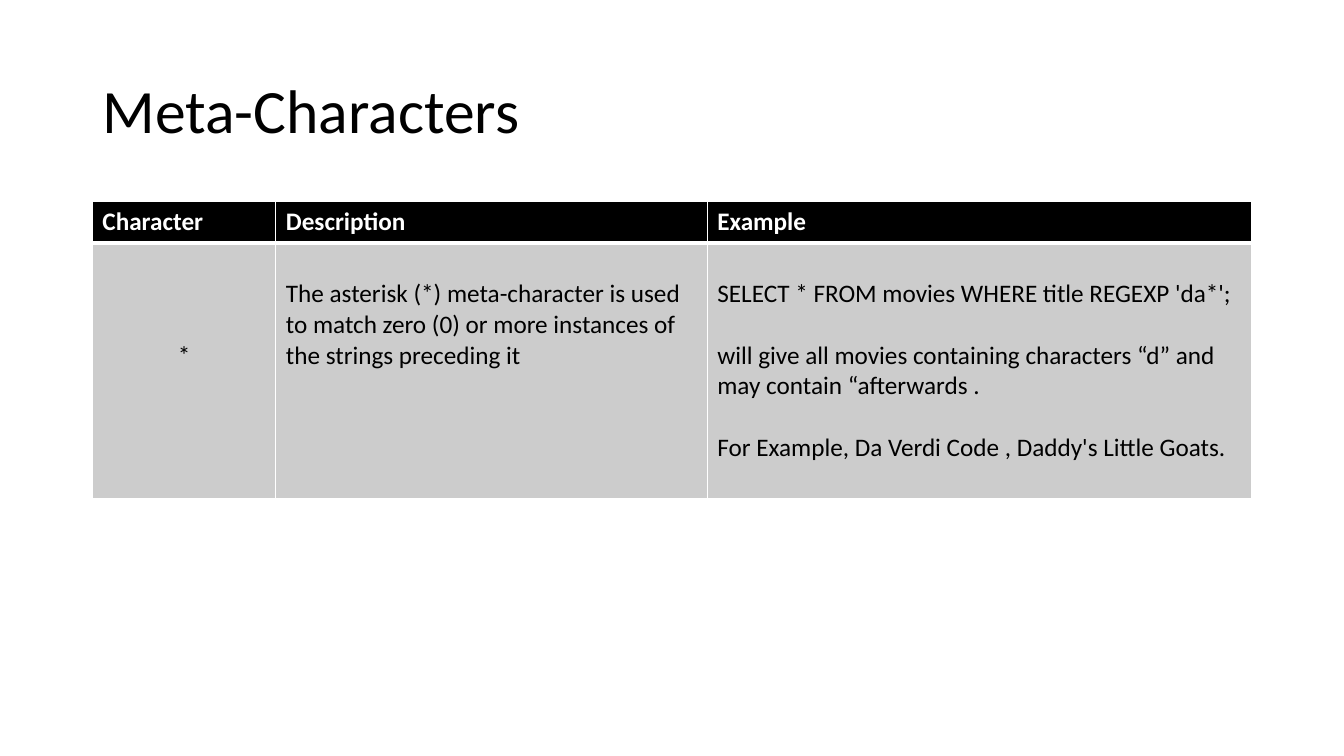
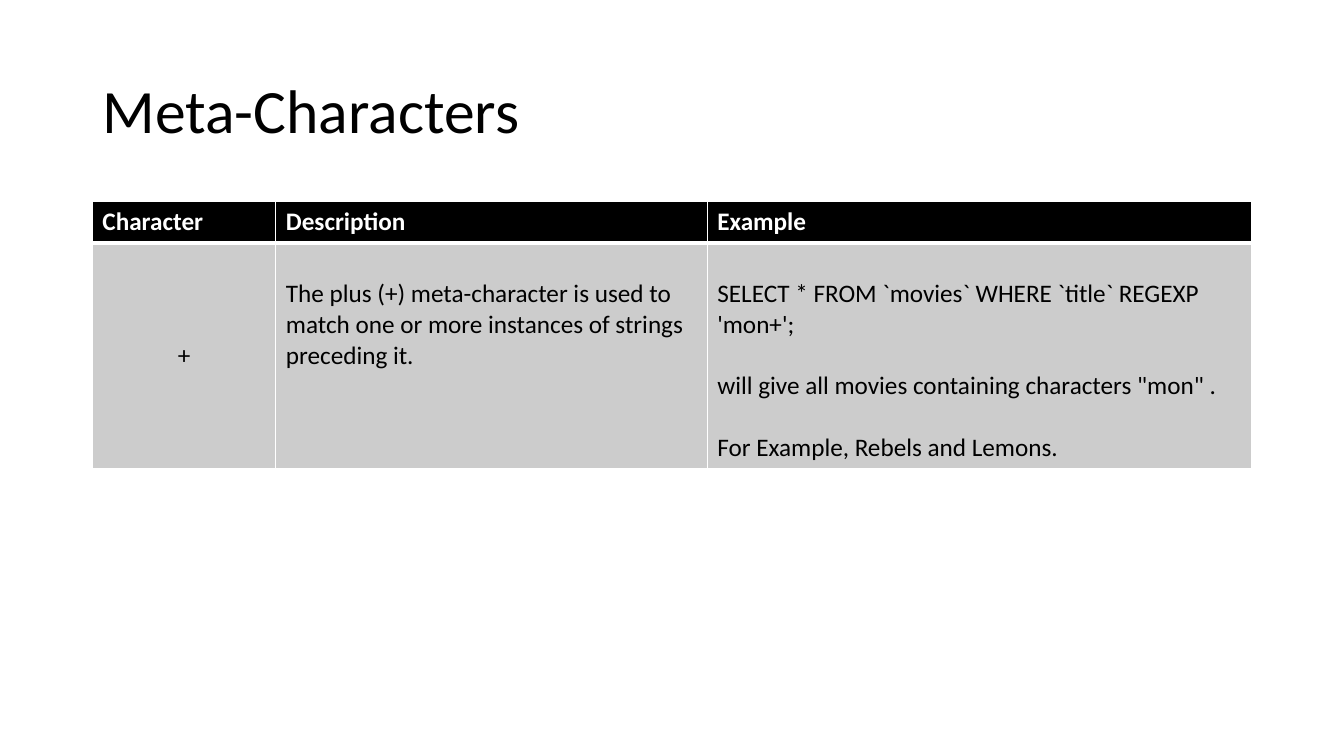
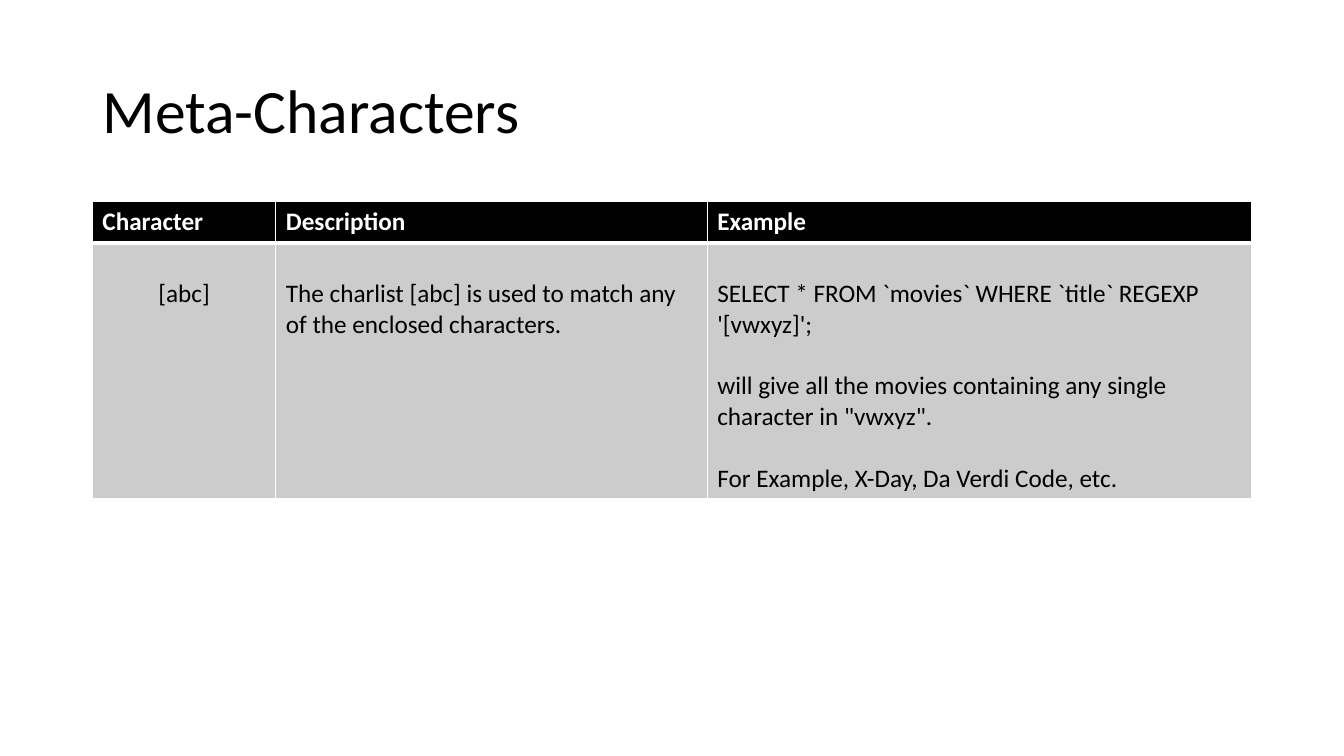
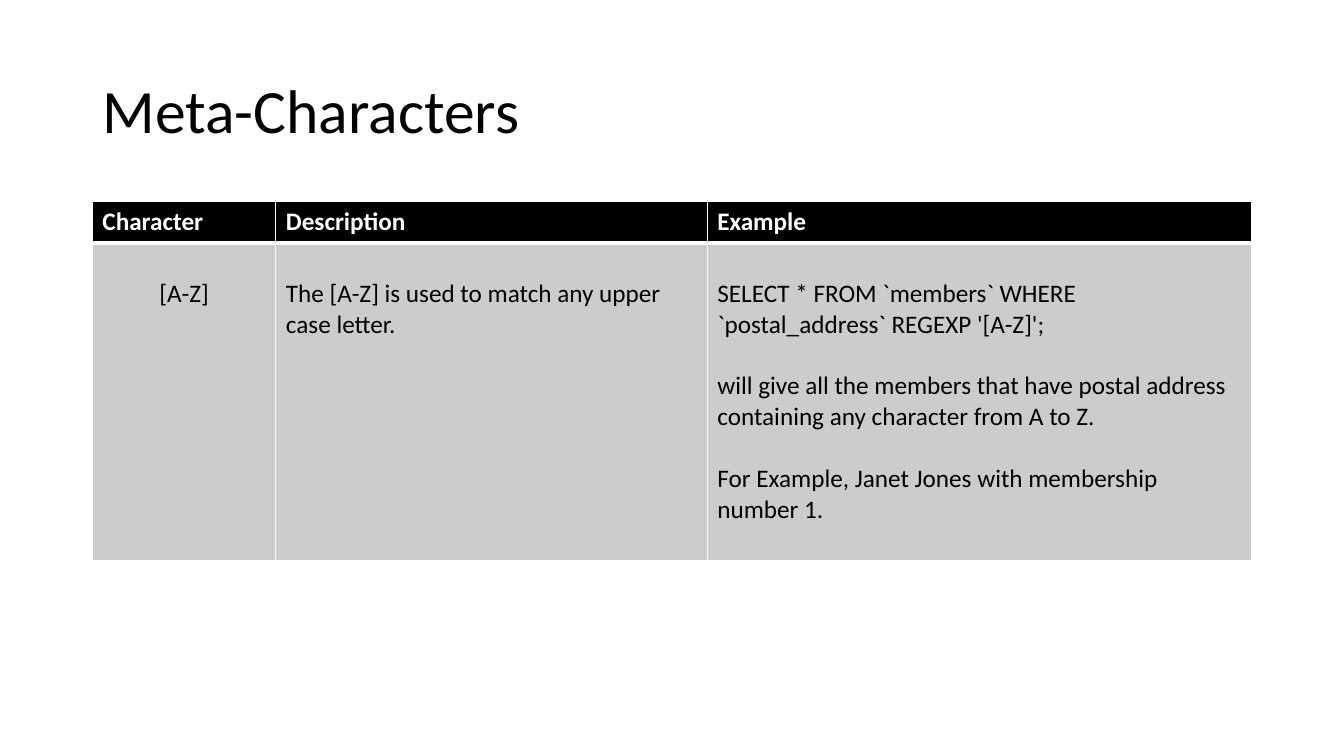
from pptx import Presentation
from pptx.dml.color import RGBColor
from pptx.enum.text import MSO_ANCHOR, PP_ALIGN
from pptx.oxml import parse_xml
from pptx.oxml.ns import nsdecls
from pptx.util import Inches, Pt

BLACK = RGBColor(0, 0, 0)
WHITE = RGBColor(255, 255, 255)
GREY = RGBColor(204, 204, 204)
COLS, ROWS = 160, 90
LINE = 3.66
PAD = 0.6
HEAD = ["Character", "Description", "Example"]
WIDTHS = [21.84, 51.36, 64.8]


def write(frame, text, size=18, color=BLACK, bold=False, align=PP_ALIGN.LEFT,
          gap=0, spacing=None):
    frame.word_wrap = True
    for i, line in enumerate(text.split("\n")):
        para = frame.paragraphs[0] if i == 0 else frame.add_paragraph()
        para.alignment = align
        para.line_spacing = spacing
        if i:
            para.space_before = Pt(gap)
        run = para.add_run()
        run.text = line
        font = run.font
        font.name, font.size, font.bold = "Calibri", Pt(size), bold
        font.color.rgb = color


class Deck:
    def __init__(self):
        self.show = Presentation()
        self.show.slide_width = Inches(13.33)
        self.show.slide_height = Inches(7.5)
        self.slide = None

    def x(self, cols):
        return round(self.show.slide_width * cols / COLS)

    def y(self, rows):
        return round(self.show.slide_height * rows / ROWS)

    def page(self, title):
        self.slide = self.show.slides.add_slide(self.show.slide_layouts[6])
        box = self.slide.shapes.add_textbox(
            self.x(11), self.y(4.8), self.x(138), self.y(17.4))
        box.text_frame.vertical_anchor = MSO_ANCHOR.MIDDLE
        write(box.text_frame, title, size=44, spacing=0.9)

    def edge(self, cell, **sides):
        for side in "LRTB":
            width = Pt(sides.get(side, 1))
            cell._tc.get_or_add_tcPr().append(parse_xml(
                f'<a:ln{side} {nsdecls("a")} w="{width}"><a:solidFill>'
                f'<a:srgbClr val="{WHITE}"/></a:solidFill></a:ln{side}>'))

    def cell(self, cell, text, fill, skip=0, edges=None, **style):
        self.edge(cell, **(edges or {}))
        cell.fill.solid()
        cell.fill.fore_color.rgb = fill
        cell.margin_top = self.y(PAD + skip * LINE)
        write(cell.text_frame, text, **style)

    def table(self, texts, lines, drop):
        heights = [4.92, lines * LINE + 2 * PAD]
        grid = self.slide.shapes.add_table(
            2, len(HEAD), self.x(11), self.y(24),
            self.x(sum(WIDTHS)), self.y(sum(heights))).table
        grid.first_row = grid.horz_banding = False
        for row, height in zip(grid.rows, heights):
            row.height = self.y(height)
        for i, (head, text, width) in enumerate(zip(HEAD, texts, WIDTHS)):
            grid.columns[i].width = self.x(width)
            self.cell(grid.cell(0, i), head, BLACK, edges={"B": 3},
                      color=WHITE, bold=True)
            self.cell(grid.cell(1, i), text, GREY, edges={"T": 3},
                      skip=1 if i else drop, gap=22,
                      align=PP_ALIGN.LEFT if i else PP_ALIGN.CENTER)


PAGES = [
    (8, 3, "*",
     "The asterisk (*) meta-character is used to match zero (0) or more "
     "instances of the strings preceding it",
     "SELECT * FROM movies WHERE title REGEXP 'da*';\n"
     "will give all movies containing characters “d” and may contain "
     "“afterwards .\n"
     "For Example, Da Verdi Code , Daddy's Little Goats."),
    (7, 3, "+",
     "The plus (+) meta-character is used to match one or more instances "
     "of strings preceding it.",
     "SELECT * FROM `movies` WHERE `title` REGEXP 'mon+';\n"
     "will give all movies containing characters \"mon\" .\n"
     "For Example, Rebels and Lemons."),
    (8, 1, "[abc]",
     "The charlist [abc] is used to match any of the enclosed characters.",
     "SELECT * FROM `movies` WHERE `title` REGEXP '[vwxyz]';\n"
     "will give all the movies containing any single character in "
     "\"vwxyz\".\n"
     "For Example, X-Day, Da Verdi Code, etc."),
    (10, 1, "[A-Z]",
     "The [A-Z] is used to match any upper case letter.",
     "SELECT * FROM `members` WHERE `postal_address` REGEXP '[A-Z]';\n"
     "will give all the members that have postal address containing any "
     "character from A to Z.\n"
     "For Example, Janet Jones with membership number 1."),
]

deck = Deck()
for lines, drop, *texts in PAGES:
    deck.page("Meta-Characters")
    deck.table(texts, lines, drop)
deck.show.save("out.pptx")
